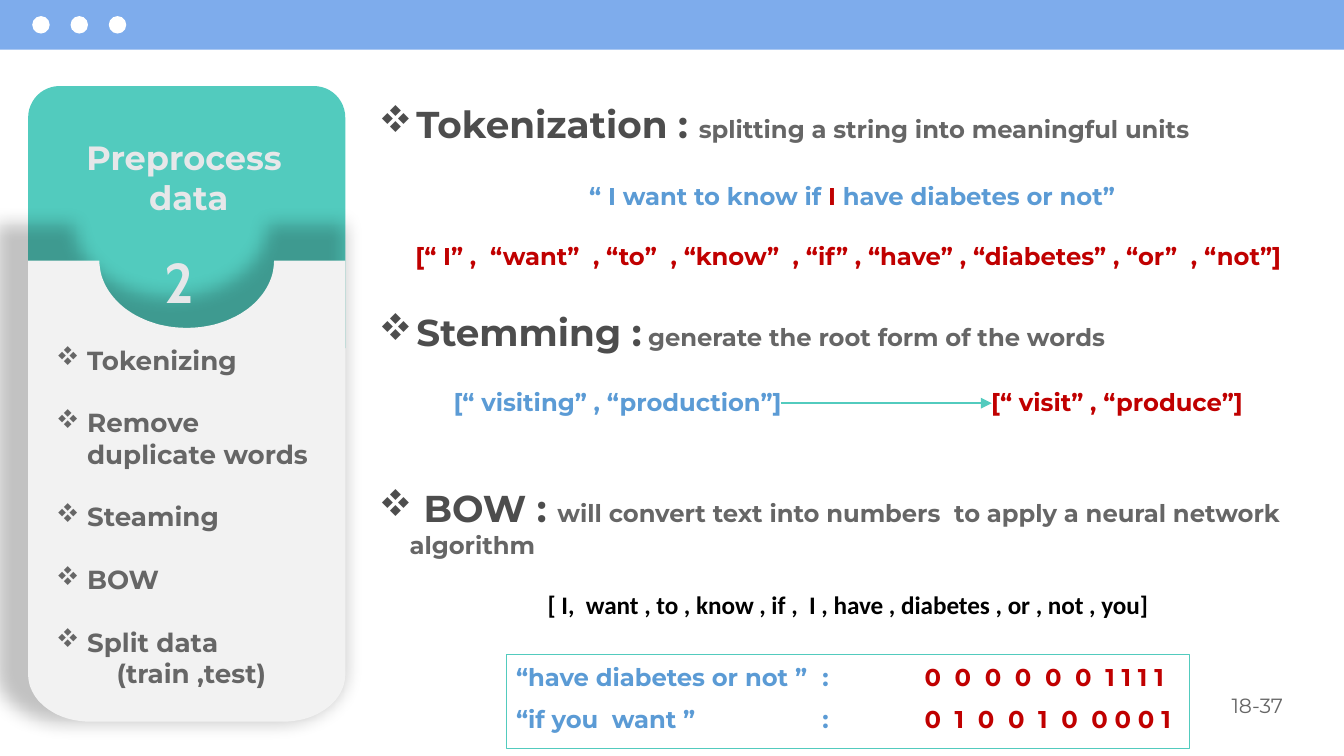
import math
from dataclasses import dataclass
from typing import NamedTuple

import pptx
import pptx.dml.color
import pptx.enum.shapes
import pptx.enum.text
import pptx.oxml
import pptx.oxml.ns
import pptx.util
from lxml import etree

COLUMNS, ROWS = 100, 56.25
CELL = pptx.util.Inches(0.1)
FINE = 100
COLORS = {
    "header": "7EACEC", "white": "FFFFFF", "teal": "52CBBE", "card": "F2F2F2",
    "pale": "E6E7E9", "grey": "666666", "dark": "4D4D4D", "ink": "404040",
    "blue": "5B9BD5", "red": "C00000", "black": "000000", "shadow": "000000",
}
ALIGN = pptx.enum.text.PP_ALIGN
SHAPE = pptx.enum.shapes.MSO_SHAPE
ANCHOR = pptx.enum.text.MSO_ANCHOR


class Area(NamedTuple):
    column: float
    row: float
    columns: float
    rows: float


class Span(NamedTuple):
    text: str
    color: str
    size: float = 13
    font: str = "Montserrat"
    bold: bool = True


@dataclass
class Para:
    spans: list[Span]
    align: ALIGN = ALIGN.LEFT
    bullet: bool = False
    indent: float = 0
    before: float = 0
    after: float = 0
    spacing: float = 1.0
    tab: float = 10


def grid(*cells: float) -> list[int]:
    return [round(cell * CELL) for cell in cells]


def rgb(name: str) -> pptx.dml.color.RGBColor:
    return pptx.dml.color.RGBColor.from_string(COLORS[name])


def child(parent, tag: str, **attributes):
    element = etree.SubElement(parent, pptx.oxml.ns.qn(tag))
    for name, value in attributes.items():
        element.set(name, str(value))
    return element


def style(font, values: dict) -> None:
    if "size" in values:
        font.size = pptx.util.Pt(values["size"])
    if "bold" in values:
        font.bold = values["bold"]
    if "color" in values:
        font.color.rgb = rgb(values["color"])
    if "font" in values:
        font.name = values["font"]


def write(shape, paras: list[Para]) -> None:
    frame = shape.text_frame
    frame.word_wrap = True
    for index, para in enumerate(paras):
        paragraph = frame.add_paragraph() if index else frame.paragraphs[0]
        paragraph.alignment = para.align
        paragraph.space_before = pptx.util.Pt(para.before)
        paragraph.space_after = pptx.util.Pt(para.after)
        paragraph.line_spacing = para.spacing
        properties = paragraph._p.get_or_add_pPr()
        margin, tab = grid(para.indent, para.tab)
        properties.set("marL", str(margin))
        properties.set("indent", str(-margin if para.bullet else 0))
        properties.set("defTabSz", str(tab))
        if para.bullet:
            child(properties, "a:buFont", typeface="Wingdings", pitchFamily=2, charset=2)
            child(properties, "a:buChar", char="v")
        looks = [span._asdict() for span in para.spans]
        shared = {key: value for key, value in looks[0].items()
                  if key != "text" and all(look[key] == value for look in looks)}
        style(paragraph.font, shared)
        for look in looks:
            for part, line in enumerate(look["text"].split("\n")):
                if part:
                    paragraph.add_line_break()
                run = paragraph.add_run()
                run.text = line
                style(run.font, {key: value for key, value in look.items() if key not in shared})


def add_text(page, area: Area, paras: list[Para]) -> None:
    write(page.shapes.add_textbox(*grid(*area)), paras)


def paint(shape, fill: str, line: str = "", width: float = 0) -> None:
    shape.shadow.inherit = False
    shape.fill.solid()
    shape.fill.fore_color.rgb = rgb(fill)
    if line:
        shape.line.color.rgb = rgb(line)
        shape.line.width = pptx.util.Pt(width)
    else:
        shape.line.fill.background()


def add_block(page, kind, area: Area, fill: str, line: str = "", width: float = 0):
    shape = page.shapes.add_shape(kind, *grid(*area))
    paint(shape, fill, line, width)
    return shape


def arc(x: float, y: float, across: float, down: float, start: int, end: int) -> list:
    step = 3 if end > start else -3
    return [(x + across * math.cos(math.radians(angle)), y + down * math.sin(math.radians(angle)))
            for angle in range(start, end + step, step)]


def add_card(page, area: Area) -> None:
    left, top, right, bottom = area.column, area.row, area.column + area.columns, area.row + area.rows
    across, down = 4.6, 3.5
    outline = [(left, top), *arc((left + right) / 2, top, 6.5, 5, 180, 0), (right, top),
               *arc(right - across, bottom - down, across, down, 0, 90),
               *arc(left + across, bottom - down, across, down, 90, 180)]
    points = [(x * FINE, y * FINE) for x, y in outline]
    builder = page.shapes.build_freeform(*points[0], scale=CELL / FINE)
    builder.add_line_segments(points[1:], close=True)
    card = builder.convert_to_shape()
    paint(card, "card")
    effects = card._element.spPr.find(pptx.oxml.ns.qn("a:effectLst"))
    shadow = child(effects, "a:outerShdw", blurRad=pptx.util.Pt(10), dist=0, dir=0,
                   sx=110000, sy=108000, algn="br", rotWithShape=0)
    child(child(shadow, "a:srgbClr", val=COLORS["shadow"]), "a:alpha", val=23000)


def add_arrow(page, start: tuple, end: tuple) -> None:
    arrow = page.shapes.add_connector(pptx.enum.shapes.MSO_CONNECTOR.STRAIGHT, *grid(*start, *end))
    arrow.line.color.rgb = rgb("teal")
    arrow.line.width = pptx.util.Pt(0.75)
    child(arrow.line._get_or_add_ln(), "a:tailEnd", type="triangle")
    child(arrow._element.spPr, "a:effectLst")


def heading(title: str, *details: Span, indent: float = 2.8) -> Para:
    return Para([Span(title, "dark", 20), *details], bullet=True, indent=indent)


def centred(*spans: Span, before: float = 16) -> Para:
    return Para(list(spans), ALIGN.CENTER, before=before)


def build() -> None:
    deck = pptx.Presentation()
    deck.slide_width, deck.slide_height = grid(COLUMNS, ROWS)
    page = deck.slides.add_slide(deck.slide_layouts[6])

    add_block(page, SHAPE.RECTANGLE, Area(0, 0, COLUMNS, 3.7), "header")
    for index in range(3):
        add_block(page, SHAPE.OVAL, Area(2.4 + 2.85 * index, 1.2, 1.3, 1.3), "white")
    number = add_block(page, SHAPE.RECTANGLE, Area(88, 50, 11.1, 4.9), "white", "white", 2)
    number.text_frame.vertical_anchor = ANCHOR.MIDDLE
    write(number, [centred(Span("18-37", "grey", 11, bold=False), before=0)])

    cap = add_block(page, SHAPE.ROUND_2_SAME_RECTANGLE, Area(2.1, 6.4, 23.6, 19.5), "teal")
    cap.adjustments[0], cap.adjustments[1] = 0.12, 0
    add_card(page, Area(2.1, 19.4, 23.6, 34.3))
    add_text(page, Area(6.5, 17.9, 13.7, 6.1), [centred(Span("2", "pale", 30, "Cabin"), before=0)])
    steps = ["Tokenizing", "Remove duplicate words", "Steaming", "BOW", "Split data"]
    items = [Para([Span(step, "grey", 14)], bullet=True, indent=2.3, before=16.75 if index else 0)
             for index, step in enumerate(steps)]
    add_text(page, Area(3.2, 25.1, 21.9, 26.9),
             items + [Para([Span("(train ,test)", "grey", 14)], indent=4.5)])
    add_text(page, Area(0, 9.7, 23.6, 7.1),
             [Para([Span("Preprocess\n data", "pale", 18)], ALIGN.CENTER, indent=3.8)])

    add_text(page, Area(27.2, 7, 71.8, 13.6), [
        heading("Tokenization : ", Span("splitting a string into meaningful units", "grey")),
        centred(Span(" ", "ink", 16, bold=False), Span("“ I want to know if ", "blue"),
                Span("I", "red"), Span(" have diabetes or not”", "blue")),
        centred(Span("[“ I” ,  “want”  , “to”  , “know”  , “if” , “have” , “diabetes” , “or”  , “not”]", "red")),
    ])
    add_text(page, Area(27.2, 22.5, 71.8, 11.3), [
        heading("Stemming :", Span(" ", "ink", 15, "Cabin"),
                Span("generate the root form of the words", "grey")),
        centred(Span("[“ visiting” , “production”]", "blue"), Span("\t\t", "blue", 15, "Cabin"),
                Span("[“ visit” , “produce”]", "red")),
    ])

    vector_box = add_block(page, SHAPE.RECTANGLE, Area(37.7, 48.7, 50.8, 7), "white", "teal", 0.75)
    frame = vector_box.text_frame
    frame.vertical_anchor = ANCHOR.TOP
    frame.margin_left, frame.margin_right, frame.margin_top, frame.margin_bottom = grid(0.7, 0.7, 0.4, 0.4)
    vectors = {"“have diabetes or not ”\t:\t": "0  0  0  0  0  0  1 1 1 1",
               "“if you  want ”\t\t:\t": "0  1  0  0  1  0  0 0 0 1"}
    write(vector_box, [Para([Span(phrase, "blue"), Span(bits, "red")], after=6, spacing=1.07, tab=7.6)
                       for phrase, bits in vectors.items()])

    add_text(page, Area(27.2, 35.6, 71.8, 13.2), [
        heading(" BOW : ", Span("will convert text into numbers  to apply a neural network algorithm", "grey"),
                indent=2.3),
        centred(Span("[ I,  want , to , know , if ,  I , have , diabetes , or , not , you]",
                     "black", 13.5, "Calibri")),
    ])
    add_arrow(page, (58.1, 30), (73.8, 30))
    deck.save("out.pptx")


if __name__ == "__main__":
    build()
